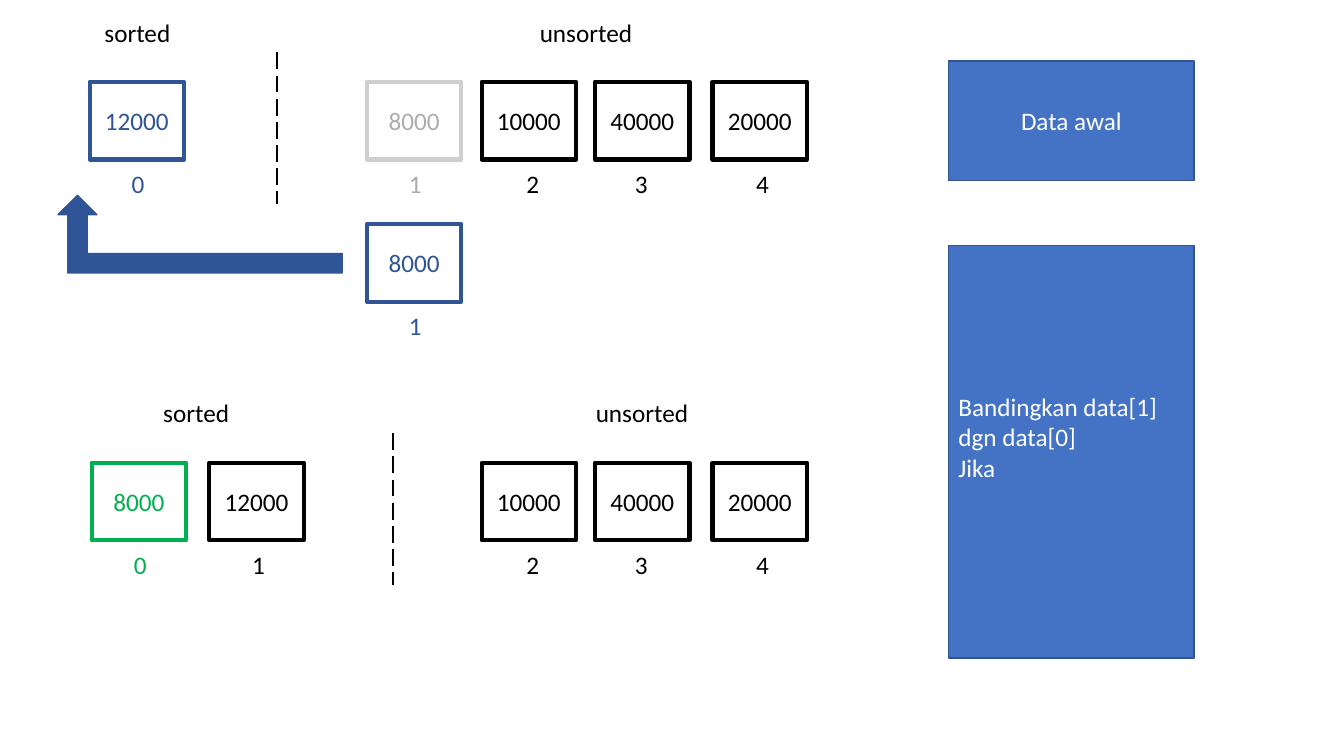
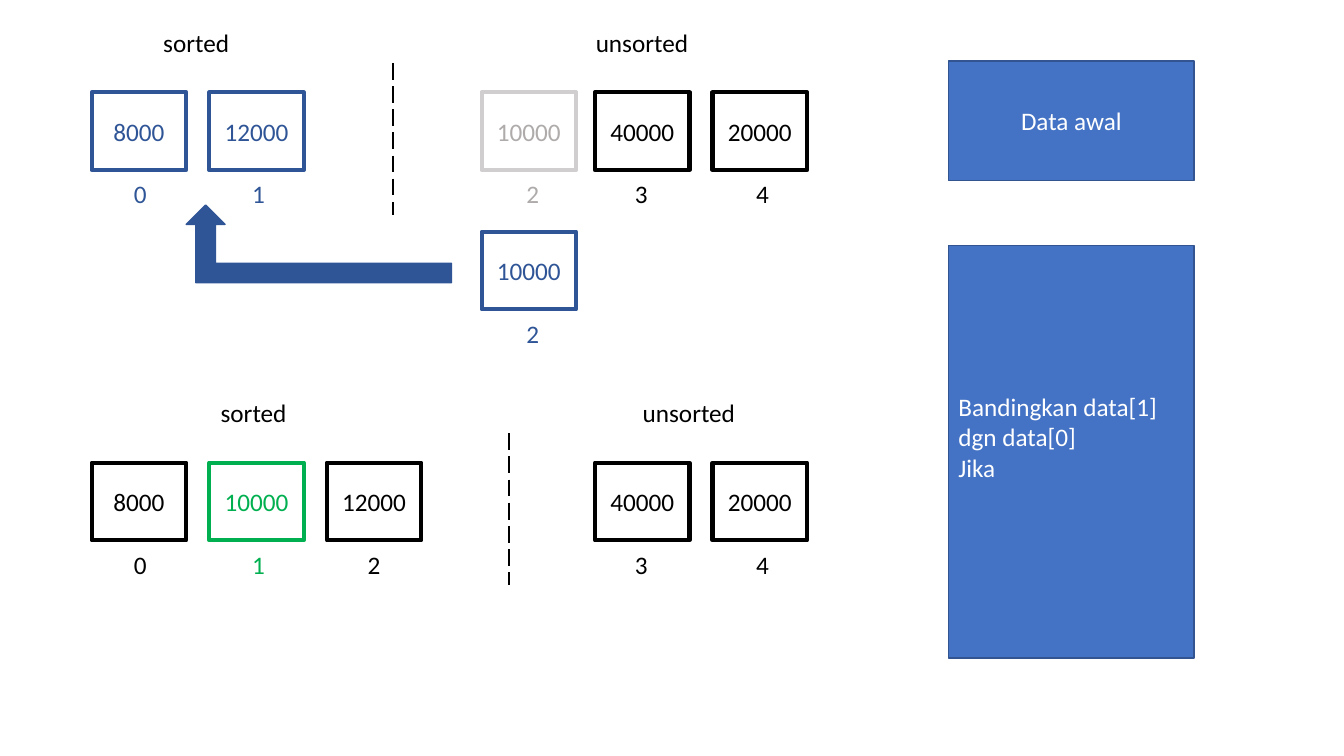
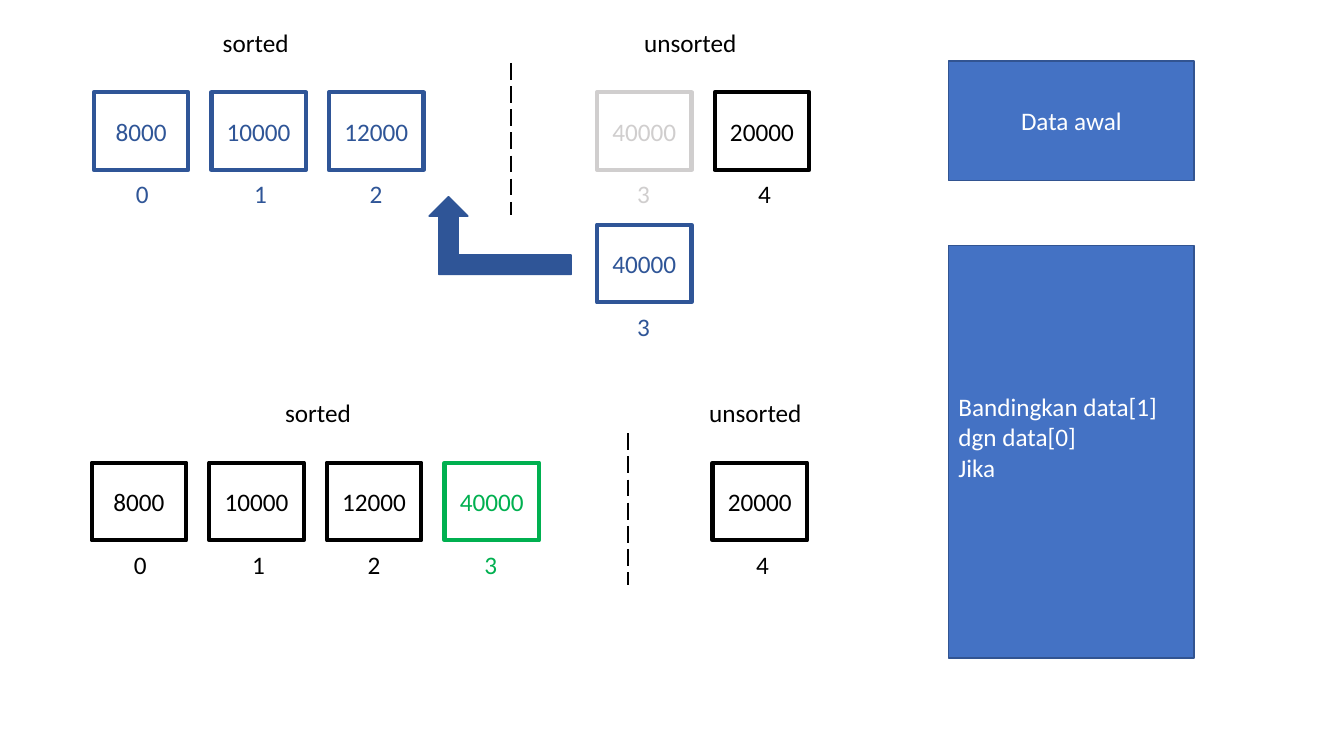
from lxml import etree
from pptx import Presentation
from pptx.dml.color import RGBColor as RGB
from pptx.enum.dml import MSO_LINE_DASH_STYLE as Dash
from pptx.enum.shapes import MSO_CONNECTOR as Link, MSO_SHAPE as Form
from pptx.enum.text import MSO_ANCHOR as Anchor, PP_ALIGN as Align
from pptx.oxml.ns import qn
from pptx.util import Pt

# Content: an insertion sort, one pass a slide
DATA = [12000, 8000, 10000, 40000, 20000]
HEADS = ("sorted", "unsorted")
PANELS = [  # top, height, extra bottom inset, alignment, lines
    (43.5, 85.5, 0, Align.CENTER, ["Data awal"]),
    (175.5, 294.5, 21.6, Align.LEFT,
     ["Bandingkan data[1] dgn data[0]", "Jika"]),
]

# Places of each pass; a row is top, shift of sorted part, shift of
# unsorted part, divider x, x of the two heads
PASSES = [
    dict(old=(58.5, -1.5, 0, 198, (67.5, 378.5)),
         new=(330.5, 0, 0, 281, (109.5, 418.5)),
         lift=160, arrow=(41.5, 139.5, 203), dim="dim"),
    dict(old=(66, 0, 0, 281, (109.5, 418.5)),
         new=(330.5, 0, 0, 363.5, (150.5, 452)),
         lift=165.5, arrow=(133, 146.5, 189.5), dim="dim"),
    dict(old=(66, 1.5, 1.5, 365, (152, 453)),
         new=(330.5, 0, 0, 448.5, (196.5, 499.5)),
         lift=160.5, arrow=(306.5, 140.5, 101.5), dim="pale"),
]

# Shared look: slots hold box x and index x
SORTED = [(65.5, 88.5), (149.5, 173), (233.5, 255.5), (317.5, 339)]
OPEN = {1: (262, 285), 2: (344, 369), 3: (425, 446.5), 4: (509, 533)}
BOX_W, BOX_H = 67.5, 55.5
HEX = dict(black="000000", white="FFFFFF", navy="2F5597", green="00B050",
           pale="D0CECE", dim="AFABAB", blue="4472C4", edge="325491")
FONT, SIZE = "Calibri", 18


def tint(name):
    return RGB.from_string(HEX[name])


def write(frame, lines, hue, align=Align.LEFT):
    frame.word_wrap = True
    for i, line in enumerate(lines):
        para = frame.paragraphs[0] if i == 0 else frame.add_paragraph()
        para.alignment = align
        run = para.add_run()
        run.text = line
        run.font.name, run.font.size = FONT, Pt(SIZE)
        run.font.color.rgb = tint(hue)


def shape(slide, form, x, y, w, h, fill, edge, width=1):
    item = slide.shapes.add_shape(form, Pt(x), Pt(y), Pt(w), Pt(h))
    item.shadow.inherit = False
    item.fill.solid()
    item.fill.fore_color.rgb = tint(fill)
    item.line.color.rgb = tint(edge)
    item.line.width = Pt(width)
    return item


def label(slide, x, y, w, text, hue="black"):
    box = slide.shapes.add_textbox(Pt(x), Pt(y), Pt(w), Pt(29))
    write(box.text_frame, [text], hue)


def cell(slide, slot, shift, y, value, index, hue, edge=None):
    x, tag = slot
    box = shape(slide, Form.RECTANGLE, x + shift, y, BOX_W, BOX_H,
                "white", edge or hue, 3)
    box.text_frame.vertical_anchor = Anchor.MIDDLE
    write(box.text_frame, [str(value)], hue, Align.CENTER)
    label(slide, tag + shift, y + 58, 30, str(index), hue)


def row(slide, place, values, split, hues):
    top, near, far, mid, heads = place
    for i, value in enumerate(values):
        slot, shift = (SORTED[i], near) if i < split else (OPEN[i], far)
        hue, edge = hues.get(i, ("black", "black"))
        cell(slide, slot, shift, top, value, i, hue, edge)
    for x, w, text in zip(heads, (67.5, 94.5), HEADS):
        label(slide, x, top - 50, w, text)
    rule = slide.shapes.add_connector(
        Link.STRAIGHT, Pt(mid), Pt(top - 21), Pt(mid), Pt(top + 87.5))
    rule.line.color.rgb = tint("black")
    rule.line.width = Pt(1.5)
    rule.line.dash_style = Dash.LONG_DASH
    etree.SubElement(rule._element.spPr, qn("a:effectLst"))


def panels(slide):
    for y, h, pad, align, lines in PANELS:
        box = shape(slide, Form.RECTANGLE, 677.5, y, 175.5, h, "blue", "edge")
        box.text_frame.vertical_anchor = Anchor.MIDDLE
        box.text_frame.margin_bottom = Pt(3.6 + pad)
        write(box.text_frame, lines, "white", align)


def main():
    deck = Presentation()
    deck.slide_width, deck.slide_height = Pt(960), Pt(540)
    data = DATA
    for k, step in enumerate(PASSES, 1):
        slide = deck.slides.add_slide(deck.slide_layouts[6])
        panels(slide)

        # Before: sorted part in navy, the taken value faded
        hues = {i: ("navy", "navy") for i in range(k)}
        hues[k] = (step["dim"], "pale")
        row(slide, step["old"], data, k, hues)
        cell(slide, OPEN[k], step["old"][2], step["lift"], data[k], k, "navy")
        x, y, w = step["arrow"]
        arrow = shape(slide, Form.BENT_UP_ARROW, x, y, w, BOX_H,
                      "navy", "navy")
        arrow._element.spPr.find(qn("a:xfrm")).set("flipH", "1")

        # After: the value in its new place, in green
        head = sorted(data[:k + 1])
        spot = head.index(data[k])
        data = head + data[k + 1:]
        row(slide, step["new"], data, k + 1, {spot: ("green", "green")})
    deck.save("out.pptx")


if __name__ == "__main__":
    main()
